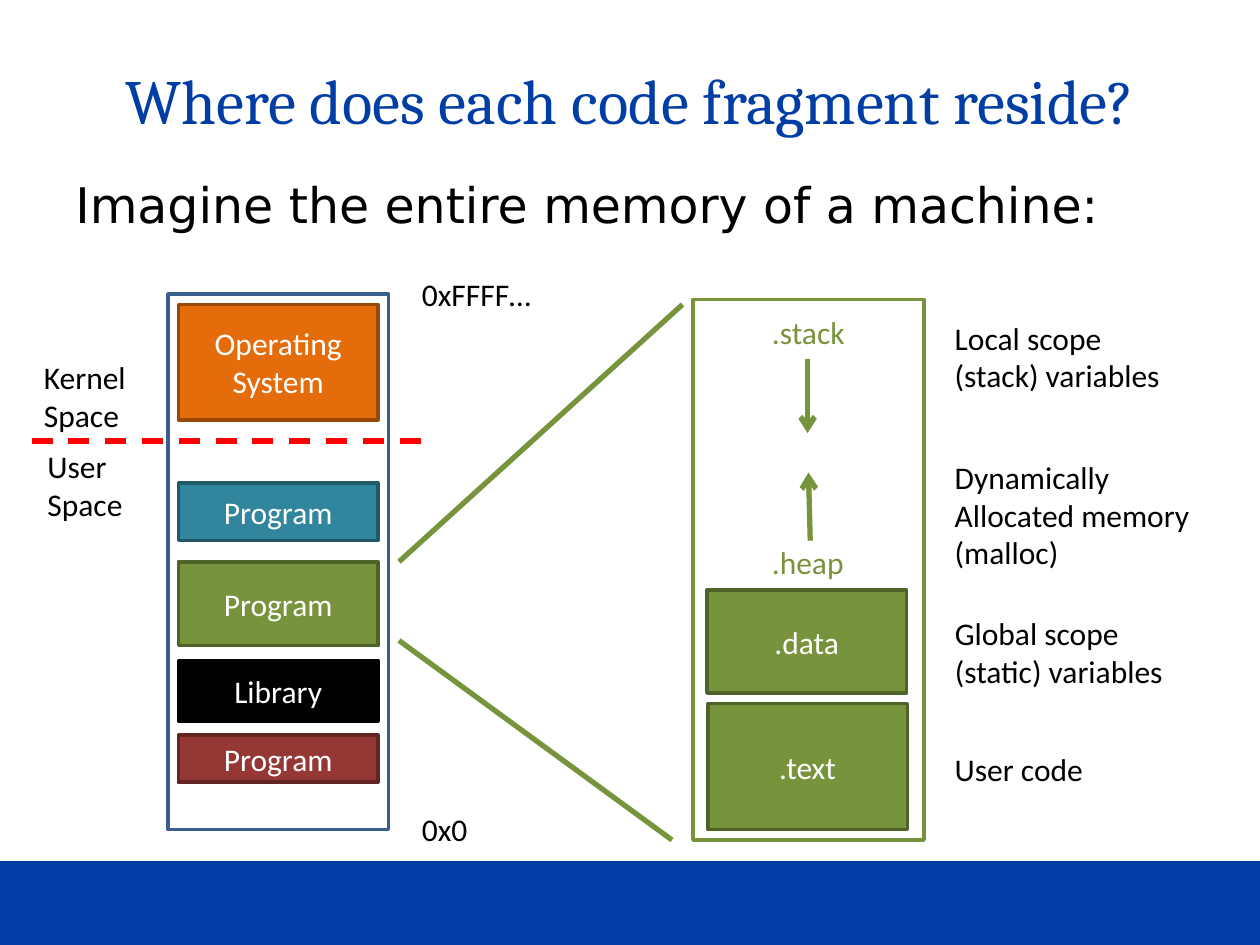
from dataclasses import dataclass

from lxml.etree import SubElement
from pptx import Presentation
from pptx.dml.color import RGBColor
from pptx.enum.dml import MSO_LINE
from pptx.enum.shapes import MSO_CONNECTOR as CONN, MSO_SHAPE as SHAPE
from pptx.enum.text import MSO_ANCHOR as ANCHOR, MSO_AUTO_SIZE as AUTO, PP_ALIGN as ALIGN
from pptx.oxml.ns import qn
from pptx.util import Pt


@dataclass(frozen=True)
class Theme:
    blue: str = "003DA5"
    black: str = "000000"
    white: str = "FFFFFF"
    red: str = "FF0000"
    frame: str = "3A5F8C"
    orange: tuple = ("E46C0A", "984807")
    teal: tuple = ("31859C", "215968")
    green: tuple = ("77933C", "4F6228")
    maroon: tuple = ("953735", "632523")
    library: tuple = ("000000", "000000")
    title: tuple = ("Cambria", 36)
    body: tuple = ("DejaVu Sans", 28)
    label: tuple = ("Calibri", 18)
    outline: int = 2
    stroke: int = 3


THEME = Theme()


def set_format(target, values):
    for name, value in values.items():
        setattr(target, name, value)


def write(sp, text, font, color, align=ALIGN.LEFT, **frame):
    tf = sp.text_frame
    set_format(tf, {"word_wrap": True, **frame})
    p = tf.paragraphs[0]
    p.text = text
    p.alignment = align
    for r in p.runs:
        set_format(r.font, {"name": font[0], "size": Pt(font[1])})
        r.font.color.rgb = RGBColor.from_string(color)


def add_text(slide, box, text, font, color, **options):
    sp = slide.shapes.add_textbox(*map(Pt, box))
    write(sp, text, font, color, **options)


def add_label(slide, box, text, color=THEME.black):
    add_text(slide, box, text, THEME.label, color,
             word_wrap=False, auto_size=AUTO.SHAPE_TO_FIT_TEXT)


def add_rect(slide, box, fill=None, line=None):
    sp = slide.shapes.add_shape(SHAPE.RECTANGLE, *map(Pt, box))
    sp.shadow.inherit = False
    if fill:
        sp.fill.solid()
        sp.fill.fore_color.rgb = RGBColor.from_string(fill)
    else:
        sp.fill.background()
    if line:
        sp.line.color.rgb = RGBColor.from_string(line)
        sp.line.width = Pt(THEME.outline)
    else:
        sp.line.fill.background()
    return sp


def add_block(slide, box, text, colors):
    sp = add_rect(slide, box, *colors)
    write(sp, text, THEME.label, THEME.white, ALIGN.CENTER, vertical_anchor=ANCHOR.MIDDLE)


def add_line(slide, start, end, color, dash=None, arrow=False):
    c = slide.shapes.add_connector(CONN.STRAIGHT, *map(Pt, start + end))
    c.line.color.rgb = RGBColor.from_string(color)
    set_format(c.line, {"width": Pt(THEME.stroke), "dash_style": dash})
    if arrow:
        SubElement(c.line._get_or_add_ln(), qn("a:tailEnd"), type="arrow")
    SubElement(c._element.spPr, qn("a:effectLst"))


def add_heading(slide, box):
    x, y, w, h = box
    add_text(slide, (x, y, w, 90), "Where does each code fragment reside?", THEME.title,
             THEME.blue, align=ALIGN.CENTER, vertical_anchor=ANCHOR.MIDDLE)
    add_text(slide, (x, y + 84, w, h - 84), "Imagine the entire memory of a machine:",
             THEME.body, THEME.black)


def add_memory(slide, box):
    x, y, w, h = box
    add_rect(slide, box, line=THEME.frame)
    blocks = [
        ("Operating System", 6, 66, THEME.orange),
        ("Program", 108, 33, THEME.teal),
        ("Program", 153, 48, THEME.green),
        ("Library", 209.5, 34.5, THEME.library),
        ("Program", 252, 27, THEME.maroon),
    ]
    for text, top, height, colors in blocks:
        add_block(slide, (x + 6, y + top, w - 12, height), text, colors)
    add_label(slide, (x + w + 12, y - 14.5, 77, 29), "0xFFFF…")
    add_label(slide, (x + w + 12, y + h - 14.5, 41, 29), "0x0")
    border = y + 84
    add_line(slide, (x - 78, border), (x + w + 24, border), THEME.red, MSO_LINE.DASH)
    add_label(slide, (x - 78, border - 51, 62, 51), "Kernel\vSpace")
    add_label(slide, (x - 76, border, 58, 51), "User\vSpace")


def add_zoom(slide, box):
    x, y, w, h = box
    add_line(slide, (x, y + 147), (x + w, y), THEME.green[0])
    add_line(slide, (x, y + 192), (x + w - 6, y + h), THEME.green[0])


def add_program(slide, box):
    x, y, w, h = box
    green = THEME.green[0]
    add_rect(slide, box, line=green)
    add_label(slide, (x + 38, y + 4.5, 56, 29), ".stack", green)
    add_label(slide, (x + 38, y + 136, 56, 29), ".heap", green)
    add_line(slide, (x + 65.5, y + 34), (x + 65.5, y + 76.5), green, arrow=True)
    add_line(slide, (x + 67, y + 138), (x + 66, y + 99), green, arrow=True)
    for text, left, top, height in [(".data", 8, 166, 59), (".text", 8.5, 231, 72)]:
        add_block(slide, (x + left, y + top, 114, height), text, THEME.green)


def add_notes(slide, box):
    x, y, w, h = box
    notes = [
        ("Local scope\v(stack) variables", 0, 133, 51),
        ("Dynamically\vAllocated memory\v(malloc)", 79.5, w, 73),
        ("Global scope\v(static) variables", 169, 135, 51),
        ("User code", h - 29, 89, 29),
    ]
    for text, top, width, height in notes:
        add_label(slide, (x, y + top, width, height), text)


def main():
    prs = Presentation()
    set_format(prs, {"slide_width": Pt(720), "slide_height": Pt(540)})
    slide = prs.slides.add_slide(prs.slide_layouts[6])
    add_rect(slide, (0, 492, 720, 48), THEME.blue)
    add_heading(slide, (36, 12, 648, 440))
    add_memory(slide, (96, 168, 126, 306))
    add_zoom(slide, (228, 174, 162, 306))
    add_program(slide, (396, 171, 132, 309))
    add_notes(slide, (538.5, 178.5, 150, 275.5))
    prs.save("out.pptx")


if __name__ == "__main__":
    main()
